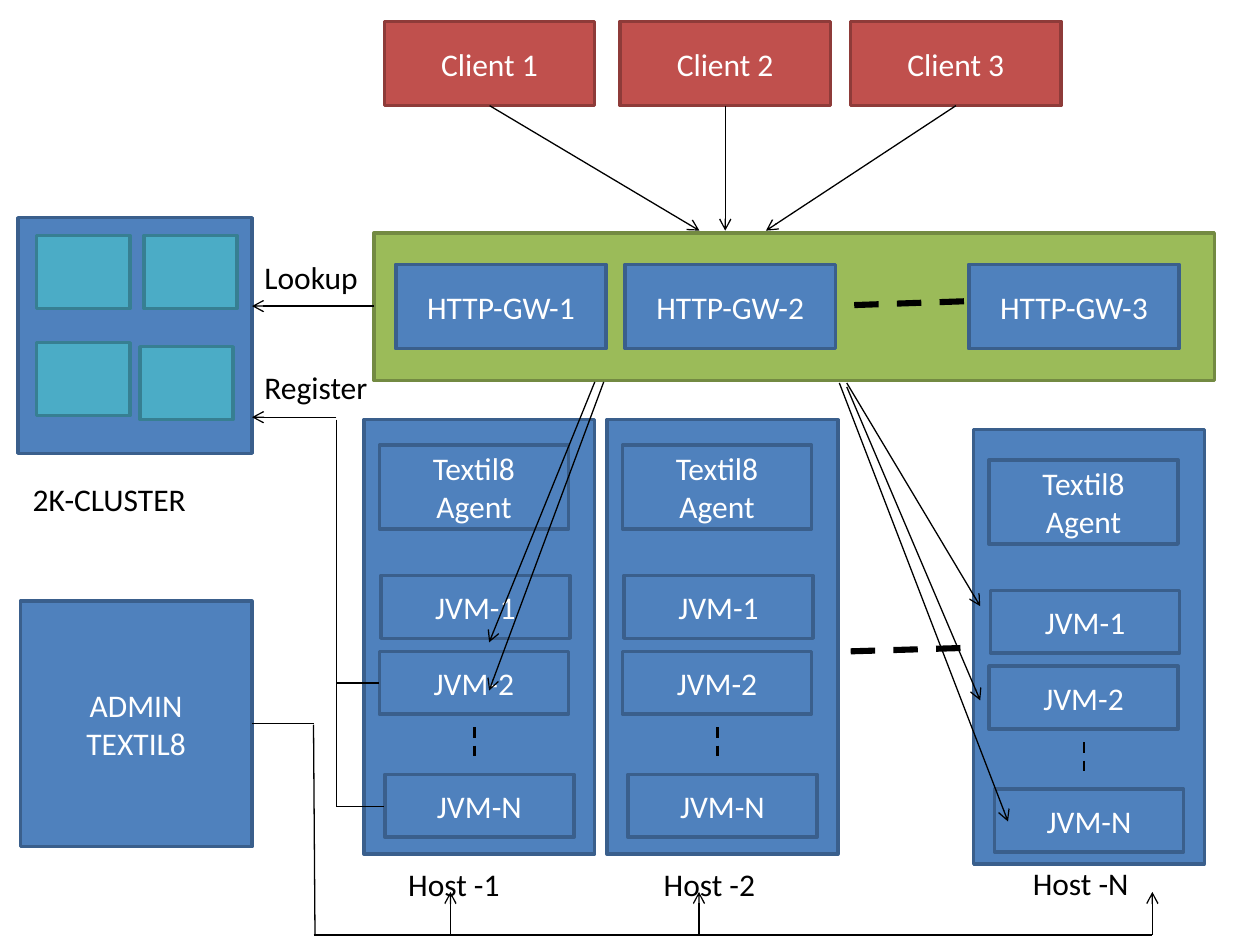
from pptx import Presentation
from pptx.dml.color import RGBColor
from pptx.enum.dml import MSO_LINE_DASH_STYLE as Dash
from pptx.enum.shapes import MSO_CONNECTOR as Connector, MSO_SHAPE as Shape
from pptx.enum.text import MSO_ANCHOR as Anchor, PP_ALIGN as Align
from pptx.oxml import parse_xml
from pptx.oxml.ns import nsdecls
from pptx.util import Cm, Pt

# Content and places, all lengths in centimetres
GATEWAY_BAR = (7.54, 4.70, 16.94, 2.97)
GATEWAYS = [("HTTP-GW-1", 7.98), ("HTTP-GW-2", 12.60), ("HTTP-GW-3", 19.53)]
GATEWAY_TOP = 5.33
CLIENTS = [("Client 1", 7.75, 14.10), ("Client 2", 12.50, 14.62),
           ("Client 3", 17.15, 15.44)]  # name, left, arrow end
CLIENT_TOP, CLIENT_ARROW_END = 0.43, 4.65
BOX_SIZE = (4.24, 1.70)

HOSTS = [  # name, left, top, top of parts, label left, label top
    ("Host -1", 7.34, 8.46, 8.97, 7.98, 17.32),
    ("Host -2", 12.24, 8.46, 8.97, 13.13, 17.32),
    ("Host -N", 19.63, 8.66, 9.27, 20.57, 17.30),
]
HOST_SIZE = (4.65, 8.76)
PART_WIDTH = 3.81
HOST_PARTS = [  # text, left and top within host, height
    ("Textil8\nAgent", 0.31, 0, 1.70),
    ("JVM-1", 0.34, 2.63, 1.27),
    ("JVM-2", 0.31, 4.16, 1.27),
    ("JVM-N", 0.42, 6.64, 1.27),
]
MORE_JVMS = (2.22, 5.69, 0.70)  # left, top, length

CLUSTER = (0.36, 4.39, 4.72, 4.75)
CLUSTER_NODES = [(0.74, 4.75), (2.90, 4.75), (0.74, 6.91), (2.82, 6.99)]
NODE_SIZE = (1.88, 1.47)
ADMIN_TEXT, ADMIN = "ADMIN\nTEXTIL8", (0.41, 12.12, 4.67, 4.95)

LABELS = [("Lookup", 5.08, 5.08, 2.90), ("Register", 5.08, 7.29, 2.90),
          ("2K-CLUSTER", 0.41, 9.55, 4.67)]

ELLIPSES = [(17.22, 6.15, 19.53, 6.07), (17.15, 13.13, 19.48, 13.06)]
CALLS = [
    (11.99, 7.70, 9.86, 12.95), (12.17, 7.70, 9.86, 13.92),
    (17.07, 7.72, 19.76, 12.22), (17.07, 7.80, 19.76, 14.12),
    (16.92, 7.72, 20.32, 16.56),
]
LOOKUP_AND_REGISTER = [(7.54, 6.17, 5.08, 6.17), (6.78, 8.41, 5.08, 8.41)]
REGISTER_LINES = [(6.78, 8.46, 6.78, 16.26), (6.78, 16.26, 7.75, 16.26),
                  (6.78, 13.77, 7.65, 13.77)]
BUS_Y, BUS_ARROW_END = 18.85, 17.98
ADMIN_LINES = [(5.08, 14.58, 6.32, 14.58), (6.32, 14.61, 6.35, BUS_Y),
               (6.32, BUS_Y, 23.22, BUS_Y)]
BUS_ARROWS = [9.08, 14.09, 23.23]

THEME = {
    "blue": ("4F81BD", "3A5F8C"), "red": ("C0504D", "8E3B39"),
    "green": ("9BBB59", "738A42"), "teal": ("4BACC6", "377F92"),
    "light": "FFFFFF", "dark": "000000",
    "font": "Calibri", "size": 18,
    "border": 2, "thin": 0.75, "tick": 1.5, "thick": 3.5,
}

presentation = Presentation()
presentation.slide_width, presentation.slide_height = Cm(25.4), Cm(19.05)
slide = presentation.slides.add_slide(presentation.slide_layouts[6])


def apply(target, **values):
    for name, value in values.items():
        setattr(target, name, value)


def write(frame, text, color, align, anchor):
    apply(frame, word_wrap=True, vertical_anchor=anchor)
    for index, line in enumerate(text.split("\n")):
        paragraph = frame.add_paragraph() if index else frame.paragraphs[0]
        paragraph.alignment = align
        run = paragraph.add_run()
        run.text = line
        apply(run.font, name=THEME["font"], size=Pt(THEME["size"]))
        run.font.color.rgb = RGBColor.from_string(THEME[color])


def add_box(place, color="blue", text=""):
    shape = slide.shapes.add_shape(Shape.RECTANGLE, *map(Cm, place))
    fill, border = map(RGBColor.from_string, THEME[color])
    shape.shadow.inherit = False
    shape.fill.solid()
    shape.fill.fore_color.rgb = fill
    shape.line.color.rgb = border
    shape.line.width = Pt(THEME["border"])
    if text:
        write(shape.text_frame, text, "light", Align.CENTER, Anchor.MIDDLE)


def add_label(text, left, top, width):
    box = slide.shapes.add_textbox(*map(Cm, (left, top, width, 1.02)))
    write(box.text_frame, text, "dark", Align.LEFT, Anchor.TOP)


def add_line(ends, weight="thin", arrow=False, dashed=False):
    line = slide.shapes.add_connector(Connector.STRAIGHT, *map(Cm, ends))
    line.line.color.rgb = RGBColor.from_string(THEME["dark"])
    line.line.width = Pt(THEME[weight])
    if dashed:
        line.line.dash_style = Dash.DASH
    if arrow:
        line.line._get_or_add_ln().append(
            parse_xml(f'<a:tailEnd {nsdecls("a")} type="arrow"/>'))
    line._element.spPr.append(parse_xml(f'<a:effectLst {nsdecls("a")}/>'))


# Gateways and clients
add_box(GATEWAY_BAR, "green")
for name, left in GATEWAYS:
    add_box((left, GATEWAY_TOP, *BOX_SIZE), text=name)
for name, left, arrow_end in CLIENTS:
    add_box((left, CLIENT_TOP, *BOX_SIZE), "red", name)
    add_line((left + BOX_SIZE[0] / 2, CLIENT_TOP + BOX_SIZE[1],
              arrow_end, CLIENT_ARROW_END), arrow=True)

# Hosts with their agents and JVMs
for name, left, top, parts_top, label_left, label_top in HOSTS:
    add_box((left, top, *HOST_SIZE))
    for text, part_left, part_top, height in HOST_PARTS:
        add_box((left + part_left, parts_top + part_top, PART_WIDTH, height),
                text=text)
    tick_left, tick_top, length = MORE_JVMS
    tick_x, tick_y = left + tick_left, parts_top + tick_top
    add_line((tick_x, tick_y, tick_x, tick_y + length), "tick", dashed=True)
    add_label(name, label_left, label_top, 2.64)

# Cluster and admin
add_box(CLUSTER)
for node in CLUSTER_NODES:
    add_box((*node, *NODE_SIZE), "teal")
add_box(ADMIN, text=ADMIN_TEXT)

# Connections
for ends in ELLIPSES:
    add_line(ends, "thick", dashed=True)
for ends in CALLS + LOOKUP_AND_REGISTER:
    add_line(ends, arrow=True)
for ends in ADMIN_LINES + REGISTER_LINES:
    add_line(ends)
for x in BUS_ARROWS:
    add_line((x, BUS_Y, x, BUS_ARROW_END), arrow=True)

# Labels
for label in LABELS:
    add_label(*label)

presentation.save("out.pptx")
